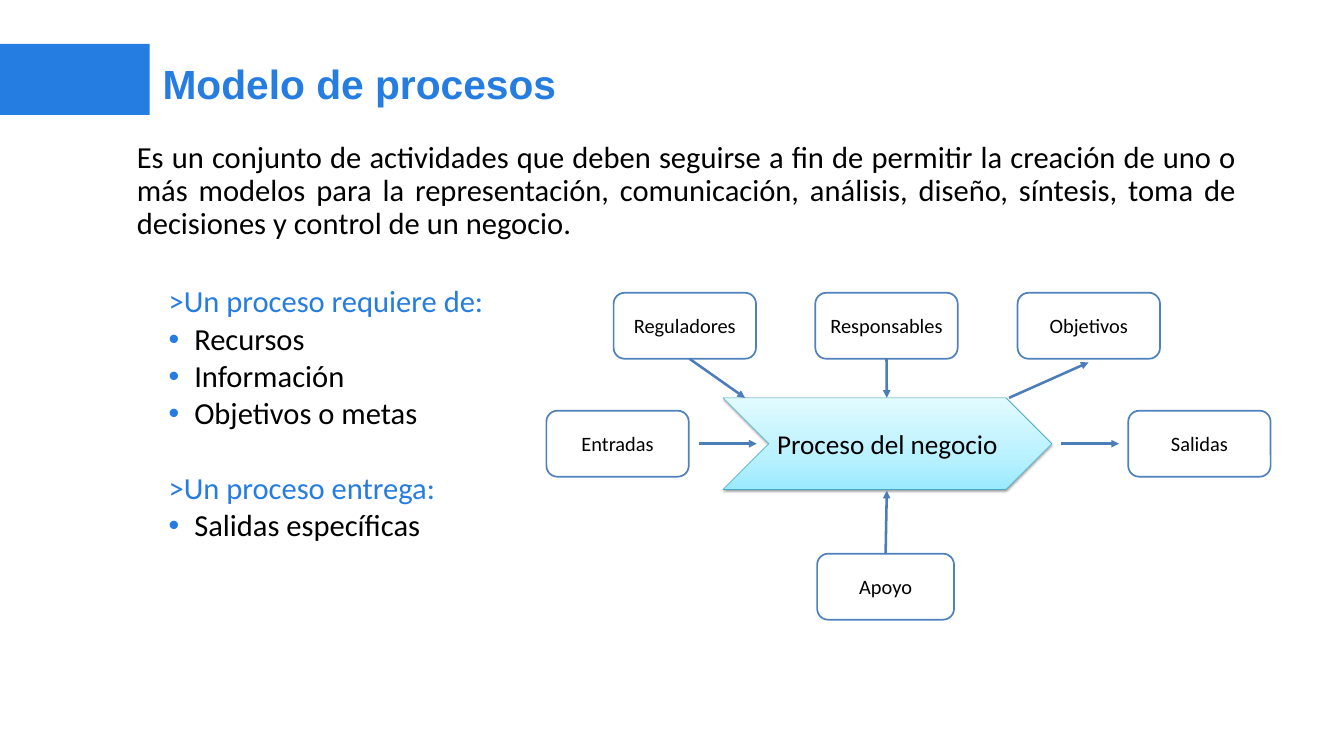
from copy import deepcopy

from lxml.etree import SubElement
from pptx import Presentation
from pptx.dml.color import RGBColor
from pptx.enum.shapes import MSO_CONNECTOR, MSO_SHAPE
from pptx.enum.text import MSO_ANCHOR, PP_ALIGN
from pptx.oxml.ns import qn
from pptx.util import Emu, Inches, Pt

BLUE, BLACK, WHITE = "257CE1", "000000", "FFFFFF"
BOX_LINE, ARROW_LINE, CHEVRON_LINE = "4F81BD", "4A7DBA", "45A9C4"
CHEVRON_STOPS = [(0, "9BE9FF"), (0.35, "B8F1FF"), (1, "E2FBFF")]


def color(value):
    return RGBColor.from_string(value)


def write(paragraph, text, size=36, font="Calibri", fill=BLACK, bold=False,
          align=PP_ALIGN.LEFT, spacing=None, before=0, margin=0, indent=0, bullet=None):
    run = paragraph.add_run()
    run.text = text
    run.font.size, run.font.name, run.font.bold = Pt(size), font, bold
    run.font.color.rgb = color(fill)
    paragraph.alignment = align
    paragraph.line_spacing = spacing
    paragraph.space_before = Pt(before)
    properties = paragraph._p.get_or_add_pPr()
    properties.set("marL", str(Inches(margin)))
    properties.set("indent", str(Inches(indent)))
    if bullet:
        bullet_color = SubElement(properties, qn("a:buClr"))
        SubElement(bullet_color, qn("a:srgbClr"), val=BLUE)
        SubElement(properties, qn("a:buFont"), typeface="Arial")
        SubElement(properties, qn("a:buChar"), char=bullet)


class Deck:
    def __init__(self, width, height):
        self.presentation = Presentation()
        self.presentation.slide_width = Inches(width)
        self.presentation.slide_height = Inches(height)
        self.slide = self.presentation.slides.add_slide(self.presentation.slide_layouts[6])

    def text(self, left, top, width, height, paragraphs, inset=(0.1, 0.05)):
        box = self.slide.shapes.add_textbox(*map(Inches, (left, top, width, height)))
        frame = box.text_frame
        frame.word_wrap = True
        frame.margin_left = frame.margin_right = Inches(inset[0])
        frame.margin_top = frame.margin_bottom = Inches(inset[1])
        for index, (text, style) in enumerate(paragraphs):
            paragraph = frame.add_paragraph() if index else frame.paragraphs[0]
            write(paragraph, text, **style)

    def shape(self, kind, left, top, width, height, fill=WHITE, line=None, weight=2,
              text="", size=24):
        shape = self.slide.shapes.add_shape(kind, *map(Inches, (left, top, width, height)))
        shape.fill.solid()
        shape.fill.fore_color.rgb = color(fill)
        if line:
            shape.line.color.rgb = color(line)
            shape.line.width = Pt(weight)
        else:
            shape.line.fill.background()
        shape.shadow.inherit = False
        if text:
            shape.text_frame.word_wrap = True
            shape.text_frame.vertical_anchor = MSO_ANCHOR.MIDDLE
            write(shape.text_frame.paragraphs[0], text, size=size, align=PP_ALIGN.CENTER)
        return shape

    def gradient(self, shape, stops, angle):
        shape.fill.gradient()
        shape.fill.gradient_angle = angle
        first = shape.fill.gradient_stops[0]._gs
        first.addnext(deepcopy(first))
        for stop, (position, value) in zip(shape.fill.gradient_stops, stops):
            stop.position = position
            stop.color.rgb = color(value)

    def shadow(self, shape, blur, distance, opacity):
        effects = shape._element.spPr.find(qn("a:effectLst"))
        outer = SubElement(effects, qn("a:outerShdw"), blurRad=str(Pt(blur)),
                           dist=str(Pt(distance)), dir="5400000", rotWithShape="0")
        shade = SubElement(outer, qn("a:srgbClr"), val=BLACK)
        SubElement(shade, qn("a:alpha"), val=str(opacity * 1000))

    def arrow(self, start, end, source=None, site=0):
        connector = self.slide.shapes.add_connector(
            MSO_CONNECTOR.STRAIGHT, *map(Inches, start + end))
        if source:
            connector.begin_connect(source, site)
        connector.line.color.rgb = color(ARROW_LINE)
        connector.line.width = Pt(3)
        SubElement(connector.line._get_or_add_ln(), qn("a:tailEnd"), type="triangle")
        SubElement(connector._element.spPr, qn("a:effectLst"))


def main():
    deck = Deck(21.99, 12.37)
    deck.shape(MSO_SHAPE.RECTANGLE, 0, 0.72, 2.45, 1.16, fill=BLUE)
    deck.text(2.66, 0.96, 18.58, 0.81, [
        ("Modelo de procesos", dict(size=48, font="Arial", fill=BLUE, bold=True)),
    ], inset=(0, 0))

    heading = dict(fill=BLUE, spacing=0.9, margin=0.58)
    item = dict(spacing=0.9, before=5, margin=1, indent=-0.42, bullet="•")
    deck.text(2.08, 2.27, 18.25, 7.34, [
        ("Es un conjunto de actividades que deben seguirse a fin de permitir la creación "
         "de uno o más modelos para la representación, comunicación, análisis, diseño, "
         "síntesis, toma de decisiones y control de un negocio.",
         dict(align=PP_ALIGN.JUSTIFY, spacing=0.9, margin=0.06)),
        (">Un proceso requiere de:", dict(heading, before=54)),
        ("Recursos", item),
        ("Información", item),
        ("Objetivos o metas", item),
        (">Un proceso entrega:", dict(heading, before=49)),
        ("Salidas específicas", item),
    ])

    process = deck.shape(MSO_SHAPE.CHEVRON, 11.83, 6.51, 5.38, 1.5, line=CHEVRON_LINE,
                         weight=0.75, text="Proceso del negocio", size=32)
    deck.gradient(process, CHEVRON_STOPS, 90)
    deck.shadow(process, 3.1, 1.6, 38)

    boxes = {}
    for name, left, top, width in [
        ("Reguladores", 10.04, 4.79, 2.33),
        ("Responsables", 13.34, 4.79, 2.33),
        ("Objetivos", 16.65, 4.79, 2.33),
        ("Entradas", 8.94, 6.72, 2.33),
        ("Salidas", 18.46, 6.72, 2.33),
        ("Apoyo", 13.37, 9.06, 2.24),
    ]:
        boxes[name] = deck.shape(MSO_SHAPE.ROUNDED_RECTANGLE, left, top, width, 1.08,
                                 line=BOX_LINE, text=name)

    deck.arrow((11.44, 7.26), (12.38, 7.26))
    deck.arrow((17.36, 7.26), (18.31, 7.26))
    deck.arrow((11.28, 5.87), (12.19, 6.51))
    deck.arrow((14.51, 5.87), (14.51, 6.51), boxes["Responsables"], 2)
    deck.arrow((16.51, 6.51), (17.81, 5.93))
    deck.arrow((14.49, 9.06), (14.51, 8.03), boxes["Apoyo"], 0)
    deck.presentation.save("out.pptx")


if __name__ == "__main__":
    main()
